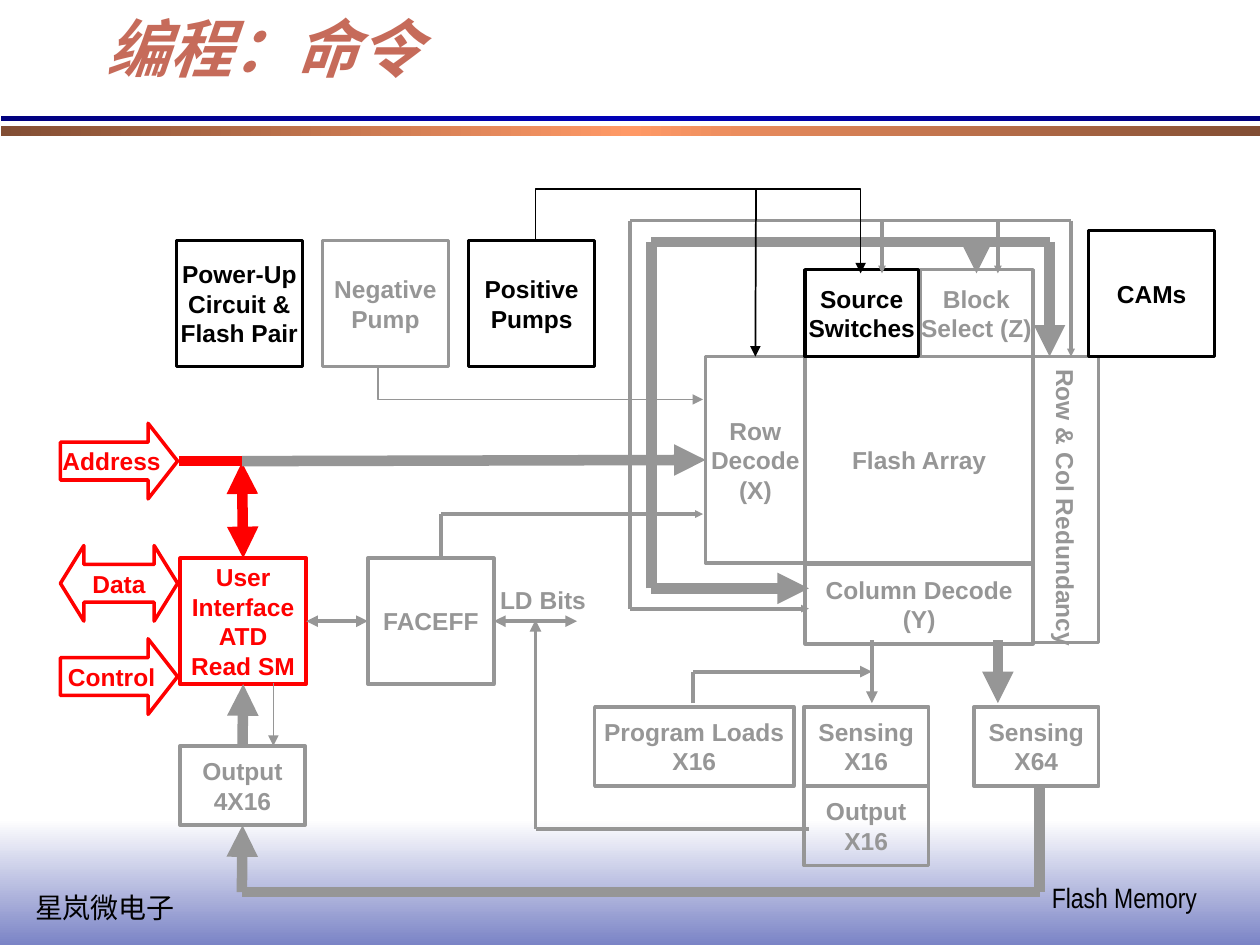
from lxml import etree
from pptx import Presentation
from pptx.dml.color import RGBColor
from pptx.enum.shapes import MSO_CONNECTOR, MSO_SHAPE
from pptx.enum.text import MSO_ANCHOR, PP_ALIGN
from pptx.oxml.ns import qn
from pptx.util import Inches, Pt

BLOCK = MSO_SHAPE.FLOWCHART_PROCESS
RIGHT_ARROW, BOTH_ARROW = MSO_SHAPE.RIGHT_ARROW, MSO_SHAPE.LEFT_RIGHT_ARROW
STRAIGHT = MSO_CONNECTOR.STRAIGHT
CENTER, LEFT = PP_ALIGN.CENTER, PP_ALIGN.LEFT
MIDDLE, TOP_ANCHOR = MSO_ANCHOR.MIDDLE, MSO_ANCHOR.TOP
TOP, WEST, BOTTOM, EAST = range(4)

GRAY, RED, BLACK, TITLE_COLOR = "969696", "FF0000", "000000", "C66B5A"
THIN, MEDIUM, THICK = 1, 2.25, 6

# left, top, width, height, gradient stops, angle in degrees
BANDS = [
    (0, 6.5, 10, 1, [(0, "FFFFFF"), (100, "7B84C6")], 90),
    (0.01, 1, 9.99, 0.08, [(0, "824E34"), (50, "FF9966"), (100, "824E34")], 0),
    (0.01, 0.92, 9.99, 0.04, [(0, "00007E"), (50, "0000B6"), (100, "00007E")], 0),
]

FOOTERS = [("星岚微电子", (0.18, 7.02, 1.31, 0.37)), ("Flash Memory", (8.25, 6.94, 1.35, 0.37))]

# key: (text, left, top, width, height, colour)
BLOCKS = {
    "faceff": ("FACEFF", 2.92, 4.43, 1, 1, GRAY),
    "array": ("Flash Array", 6.39, 2.83, 1.81, 1.64, GRAY),
    "redundancy": ("Row & Col Redundancy", 8.2, 2.83, 0.52, 2.27, GRAY),
    "column": ("Column Decode\n(Y)", 6.39, 4.48, 1.81, 0.63, GRAY),
    "row": ("Row\nDecode\n(X)", 5.6, 2.83, 0.79, 1.64, GRAY),
    "select": ("Block\nSelect (Z)", 7.3, 2.14, 0.9, 0.69, GRAY),
    "loads": ("Program Loads\nX16", 4.72, 5.61, 1.58, 0.63, GRAY),
    "sensing16": ("Sensing\nX16", 6.38, 5.61, 0.99, 0.63, GRAY),
    "output16": ("Output\nX16", 6.38, 6.24, 0.99, 0.63, GRAY),
    "sensing64": ("Sensing\nX64", 7.73, 5.61, 0.99, 0.63, GRAY),
    "output4x16": ("Output\n4X16", 1.43, 5.92, 0.99, 0.63, GRAY),
    "negative": ("Negative\nPump", 2.56, 1.91, 1, 1, GRAY),
    "power": ("Power-Up\nCircuit &\nFlash Pair", 1.4, 1.91, 1, 1, BLACK),
    "positive": ("Positive\nPumps", 3.72, 1.91, 1, 1, BLACK),
    "cams": ("CAMs", 8.64, 1.83, 1, 1, BLACK),
    "user": ("User\nInterface\nATD\nRead SM", 1.43, 4.43, 1, 1, RED),
    "source": ("Source\nSwitches", 6.39, 2.14, 0.9, 0.69, BLACK),
}

# text, top, preset, head proportion
INPUTS = [
    ("Address", 3.36, RIGHT_ARROW, 0.39),
    ("Data", 4.33, BOTH_ARROW, 0.31),
    ("Control", 5.07, RIGHT_ARROW, 0.39),
]

# points (x, y) or (block, side), width, arrowheads, colour, arrowhead size
WIRES = [
    ([(5, 4.83), (5, 1.75), (8.5, 1.75), (8.5, 2.83)], MEDIUM, "end", GRAY, "sm"),
    ([(5, 4.83), (6.42, 4.83)], MEDIUM, "end", GRAY, "sm"),
    ([(3.5, 4.42), (3.5, 4.08), (5.58, 4.08)], MEDIUM, "end", GRAY, "sm"),
    ([(7.92, 1.75), (7.92, 2.17)], MEDIUM, "end", GRAY, "sm"),
    ([(7, 1.75), (7, 2.17)], MEDIUM, "end", GRAY, "sm"),
    ([(6.92, 5.08), (6.92, 5.58)], MEDIUM, "end", GRAY, "med"),
    ([(7.92, 5.08), (7.92, 5.58)], THICK, "end", GRAY, "med"),
    ([(5.5, 5.58), (5.5, 5.33), (6.92, 5.33)], MEDIUM, "end", GRAY, "med"),
    ([("faceff", EAST), (4.58, 4.93)], MEDIUM, "both", GRAY, "med"),
    ([(6.42, 6.58), (4.25, 6.58), (4.25, 4.92)], MEDIUM, "end", GRAY, "med"),
    ([(8.25, 6.25), (8.25, 7.08), (1.92, 7.08), ("output4x16", BOTTOM)],
     THICK, "end", GRAY, "med"),
    ([("user", EAST), ("faceff", WEST)], MEDIUM, "both", GRAY, "med"),
    ([("output4x16", TOP), ("user", BOTTOM)], THICK, "end", GRAY, "med"),
    ([(2.17, 5.42), (2.17, 5.92)], THIN, "end", GRAY, "med"),
    ([(1.92, 3.67), ("user", TOP)], THICK, "both", RED, "med"),
    ([(1.92, 3.66), ("row", WEST)], THICK, "end", GRAY, "med"),
    ([(5.17, 4.67), (6.42, 4.67)], THICK, "end", GRAY, "med"),
    ([(5.17, 4.67), (5.17, 1.92), (8.33, 1.92), (8.33, 2.83)], THICK, "end", GRAY, "med"),
    ([(7.75, 1.92), (7.75, 2.17)], THICK, "end", GRAY, "med"),
    ([(6, 1.5), ("row", TOP)], THIN, "end", BLACK, "med"),
    ([(1.42, 3.66), (1.92, 3.66)], THICK, "", RED, "med"),
]

BENT_WIRES = [
    ([(3, 2.92), (3, 3.17), (5.58, 3.17)], GRAY),
    ([(4.25, 1.92), (4.25, 1.5), (6.83, 1.5), (6.83, 2.17)], BLACK),
]


def rgb(value):
    return RGBColor.from_string(value)


def write(shape, text, color, size=14, font="Arial", bold=True, italic=False,
          align=CENTER, anchor=MIDDLE, wrap=False, spacing=None):
    frame = shape.text_frame
    frame.word_wrap = wrap
    frame.vertical_anchor = anchor
    for i, line in enumerate(text.split("\n")):
        paragraph = frame.add_paragraph() if i else frame.paragraphs[0]
        paragraph.alignment = align
        paragraph.line_spacing = spacing
        run = paragraph.add_run()
        run.text = line
        run.font.name, run.font.size = font, Pt(size)
        run.font.bold, run.font.italic = bold, italic
        run.font.color.rgb = rgb(color)


def add_text(text, area, color, **fmt):
    write(slide.shapes.add_textbox(*map(Inches, area)), text, color, **fmt)


def add_outline(preset, area, color):
    shape = slide.shapes.add_shape(preset, *map(Inches, area))
    shape.shadow.inherit = False
    shape.fill.background()
    shape.line.color.rgb, shape.line.width = rgb(color), Pt(2)
    return shape


def add_band(left, top, width, height, stops, angle):
    band = slide.shapes.add_shape(MSO_SHAPE.RECTANGLE, *map(Inches, (left, top, width, height)))
    band.shadow.inherit = False
    band.line.fill.background()
    gradient = etree.Element(qn("a:gradFill"), rotWithShape="1")
    stop_list = etree.SubElement(gradient, qn("a:gsLst"))
    for position, color in stops:
        stop = etree.SubElement(stop_list, qn("a:gs"), pos=str(position * 1000))
        etree.SubElement(stop, qn("a:srgbClr"), val=color)
    etree.SubElement(gradient, qn("a:lin"), ang=str(angle * 60000), scaled="0")
    band._element.spPr.find(qn("a:prstGeom")).addnext(gradient)


def style_wire(wire, color, width, heads, size="med"):
    wire.line.color.rgb, wire.line.width = rgb(color), Pt(width)
    ends = {"both": ["headEnd", "tailEnd"], "end": ["tailEnd"]}.get(heads, [])
    for end in ends:
        etree.SubElement(wire.line._get_or_add_ln(), qn("a:" + end),
                         type="triangle", w=size, len=size)


def locate(point):
    """Position of a wire point, which may be the middle of a block's side."""
    if not isinstance(point[0], str):
        return point
    _, left, top, width, height, _ = BLOCKS[point[0]]
    dx, dy = {TOP: (0.5, 0), WEST: (0, 0.5), BOTTOM: (0.5, 1), EAST: (1, 0.5)}[point[1]]
    return left + dx * width, top + dy * height


def add_wire(points, width, heads, color, size):
    for i, (start, end) in enumerate(zip(points, points[1:])):
        wire = slide.shapes.add_connector(STRAIGHT, *map(Inches, locate(start) + locate(end)))
        style_wire(wire, color, width, heads if i == len(points) - 2 else "", size)
        etree.SubElement(wire._element.spPr, qn("a:effectLst"))
        if isinstance(start[0], str):
            wire.begin_connect(blocks[start[0]], start[1])
        if isinstance(end[0], str):
            wire.end_connect(blocks[end[0]], end[1])


def add_bent_wire(points, color):
    corners = [(Inches(x), Inches(y)) for x, y in points]
    builder = slide.shapes.build_freeform(*corners[0])
    builder.add_line_segments(corners[1:], close=False)
    wire = builder.convert_to_shape()
    wire.shadow.inherit = False
    wire.fill.background()
    style_wire(wire, color, THIN, "end")


prs = Presentation()
prs.slide_width, prs.slide_height = Inches(10), Inches(7.5)
slide = prs.slides.add_slide(prs.slide_layouts[6])

for band in BANDS:
    add_band(*band)
for text, area in FOOTERS:
    add_text(text, area, BLACK, size=16, font="Arial Narrow", bold=False,
             align=LEFT, anchor=TOP_ANCHOR)
add_text("编程：命令", (0.75, 0, 8.5, 0.83), TITLE_COLOR, size=36, font="Arial Narrow",
         italic=True, align=LEFT, wrap=True, spacing=0.88)

blocks = {}
for key, (text, *area, color) in BLOCKS.items():
    blocks[key] = add_outline(BLOCK, area, color)
    write(blocks[key], text, color)
vertical = blocks["redundancy"].text_frame
vertical._txBody.bodyPr.set("vert", "eaVert")
vertical.margin_left = vertical.margin_right = Inches(0.05)
vertical.margin_top = vertical.margin_bottom = Inches(0.1)

for text, top, preset, head in INPUTS:
    arrow = add_outline(preset, (0.48, top, 0.93, 0.6), RED)
    arrow.adjustments[0], arrow.adjustments[1] = 0.5, head
    write(arrow, text, RED)
add_text("LD Bits", (3.87, 4.59, 0.88, 0.34), GRAY, align=LEFT, anchor=TOP_ANCHOR)

for wire in WIRES:
    add_wire(*wire)
for points, color in BENT_WIRES:
    add_bent_wire(points, color)

prs.save("out.pptx")
